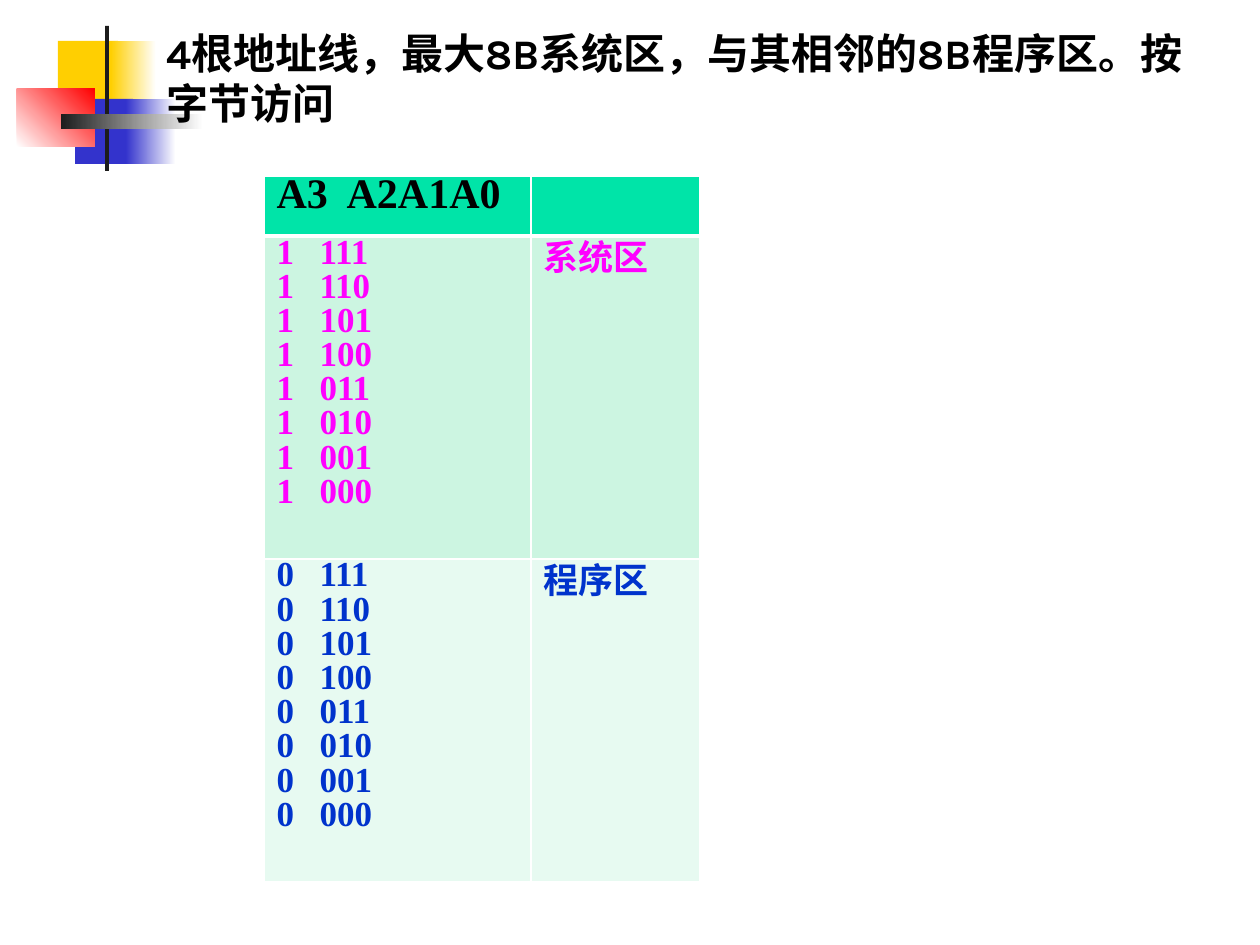
from dataclasses import dataclass
from typing import Optional

from lxml.etree import SubElement
from pptx import Presentation
from pptx.dml.color import RGBColor
from pptx.enum.shapes import MSO_SHAPE as Shape
from pptx.enum.text import MSO_ANCHOR as Anchor
from pptx.oxml.ns import qn
from pptx.util import Emu, Pt

WHITE = RGBColor(0xFF, 0xFF, 0xFF)
BLACK = RGBColor(0x00, 0x00, 0x00)
YELLOW = RGBColor(0xFF, 0xCF, 0x01)
INDIGO = RGBColor(0x33, 0x33, 0xCC)
RED = RGBColor(0xFF, 0x00, 0x00)
CHARCOAL = RGBColor(0x1C, 0x1C, 0x1C)
HEADER_GREEN = RGBColor(0x00, 0xE4, 0xA8)
LIGHT_GREEN = RGBColor(0xCC, 0xF5, 0xE1)
PALE_GREEN = RGBColor(0xE7, 0xFA, 0xF1)
MAGENTA = RGBColor(0xFF, 0x00, 0xFF)
BLUE = RGBColor(0x00, 0x33, 0xCC)

TITLE_FONT = "Karla"
TABLE_FONT = "Times New Roman"
TABLE_LEFT, TABLE_TOP = 264, 176
COLUMN_WIDTHS = (267, 169)


def px(n: int) -> Emu:
    return Emu(round(n * 914400 / 126))


@dataclass
class Block:
    left: int
    top: int
    width: int
    height: int
    color: RGBColor
    fade_to: Optional[RGBColor] = None
    angle: int = 0


@dataclass
class Row:
    height: int
    addresses: list[str]
    label: str
    size: int
    tab: int
    color: RGBColor
    fill: RGBColor
    top_line: int = 1
    bottom_line: int = 1


BLOCKS = [
    Block(58, 41, 60, 65, YELLOW),
    Block(111, 41, 45, 65, YELLOW, WHITE),
    Block(75, 99, 58, 65, INDIGO),
    Block(126, 99, 50, 65, INDIGO, WHITE),
    Block(17, 89, 78, 58, WHITE, RED, 45),
    Block(105, 26, 4, 145, CHARCOAL),
    Block(61, 114, 142, 15, CHARCOAL, WHITE),
]


def zone_addresses(high_bit: int) -> list[str]:
    return [f"{high_bit}\t{n:03b}" for n in reversed(range(8))]


ROWS = [
    Row(60, ["A3\tA2A1A0"], "", 24, 70, BLACK, HEADER_GREEN, bottom_line=3),
    Row(323, zone_addresses(1), "系统区", 20, 43, MAGENTA, LIGHT_GREEN, top_line=3),
    Row(323, zone_addresses(0), "程序区", 20, 43, BLUE, PALE_GREEN),
]


def add_block(slide, block: Block) -> None:
    sp = slide.shapes.add_shape(Shape.RECTANGLE, px(block.left), px(block.top),
                                px(block.width), px(block.height))
    sp.shadow.inherit = False
    sp.line.fill.background()
    if block.fade_to is None:
        sp.fill.solid()
        sp.fill.fore_color.rgb = block.color
        return
    sp.fill.gradient()
    sp.fill.gradient_angle = block.angle
    for stop, color in zip(sp.fill.gradient_stops, (block.color, block.fade_to)):
        stop.color.rgb = color


def add_run(p, text: str, font: str, size: int, color: RGBColor) -> None:
    r = p.add_run()
    r.text = text
    r.font.name = font
    r.font.size = Pt(size)
    r.font.bold = True
    r.font.color.rgb = color


def add_title(slide, text: str) -> None:
    sp = slide.shapes.add_textbox(px(154), px(76), px(1074), px(58))
    tf = sp.text_frame
    tf.word_wrap = True
    tf.vertical_anchor = Anchor.BOTTOM
    add_run(tf.paragraphs[0], text, TITLE_FONT, 24, BLACK)


def set_spacing(p, tab: int) -> None:
    p.line_spacing = 0.7
    pPr = p._p.get_or_add_pPr()
    after = SubElement(pPr, qn("a:spcAft"))
    SubElement(after, qn("a:spcPct"), val="20000")
    tabs = SubElement(pPr, qn("a:tabLst"))
    SubElement(tabs, qn("a:tab"), pos=str(px(tab)), algn="l")


def set_borders(cell, top: int, bottom: int) -> None:
    tcPr = cell._tc.get_or_add_tcPr()
    for side, width in (("L", 1), ("R", 1), ("T", top), ("B", bottom)):
        ln = SubElement(tcPr, qn(f"a:ln{side}"), w=str(Pt(width)))
        fill = SubElement(ln, qn("a:solidFill"))
        SubElement(fill, qn("a:srgbClr"), val=str(WHITE))


def fill_cell(cell, lines: list[str], row: Row) -> None:
    set_borders(cell, row.top_line, row.bottom_line)
    cell.fill.solid()
    cell.fill.fore_color.rgb = row.fill
    tf = cell.text_frame
    for i, line in enumerate(lines):
        p = tf.add_paragraph() if i else tf.paragraphs[0]
        set_spacing(p, row.tab)
        add_run(p, line, TABLE_FONT, row.size, row.color)


def add_address_table(slide, rows: list[Row]) -> None:
    frame = slide.shapes.add_table(
        len(rows), len(COLUMN_WIDTHS), px(TABLE_LEFT), px(TABLE_TOP),
        px(sum(COLUMN_WIDTHS)), px(sum(row.height for row in rows)))
    table = frame.table
    for column, width in zip(table.columns, COLUMN_WIDTHS):
        column.width = px(width)
    for i, row in enumerate(rows):
        table.rows[i].height = px(row.height)
        fill_cell(table.cell(i, 0), row.addresses, row)
        fill_cell(table.cell(i, 1), [row.label] if row.label else [], row)


def main() -> None:
    prs = Presentation()
    prs.slide_width, prs.slide_height = px(1260), px(945)
    slide = prs.slides.add_slide(prs.slide_layouts[6])
    for block in BLOCKS:
        add_block(slide, block)
    add_title(slide, "4根地址线，最大8B系统区，与其相邻的8B程序区。按字节访问")
    add_address_table(slide, ROWS)
    prs.save("out.pptx")


if __name__ == "__main__":
    main()
